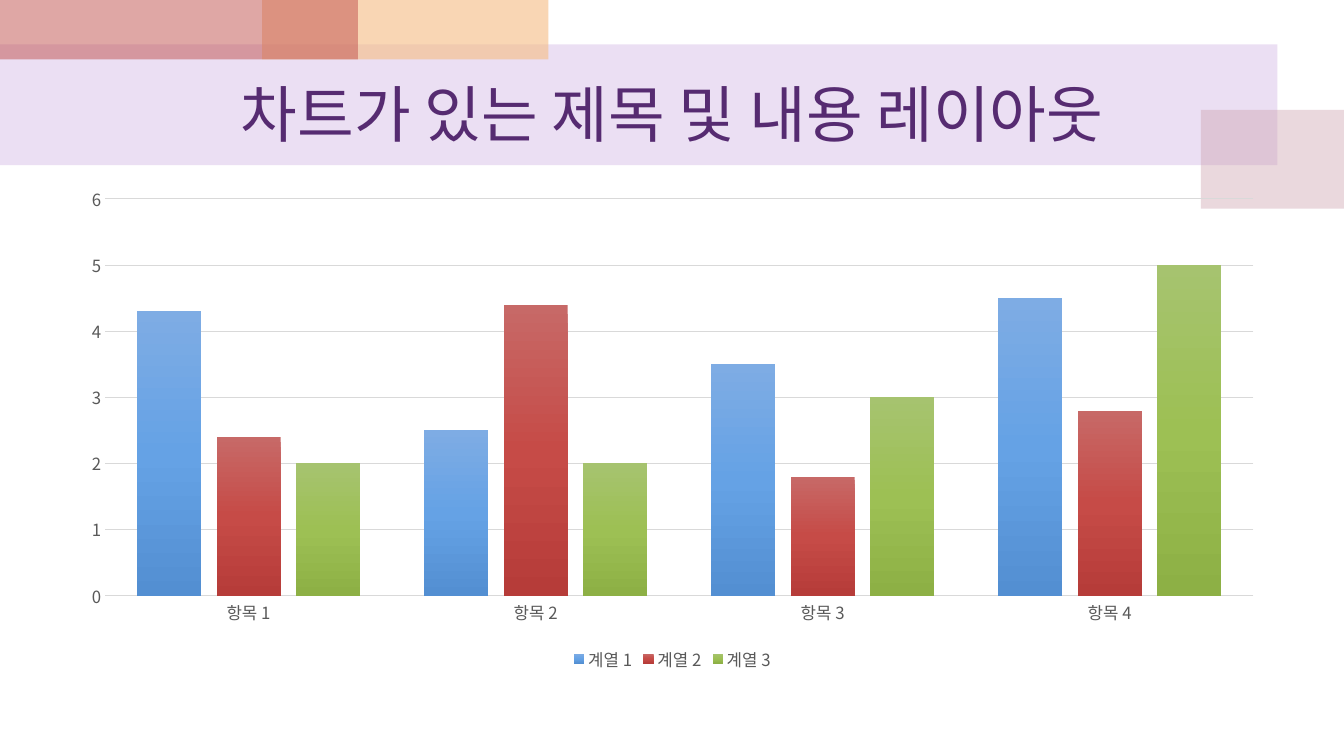
from dataclasses import dataclass

from lxml.etree import SubElement
from pptx import Presentation
from pptx.chart.axis import _BaseAxis
from pptx.chart.chart import Chart
from pptx.chart.data import CategoryChartData
from pptx.chart.series import BarSeries
from pptx.dml.color import RGBColor
from pptx.enum.chart import XL_CHART_TYPE, XL_LEGEND_POSITION, XL_TICK_MARK
from pptx.enum.shapes import MSO_SHAPE
from pptx.enum.text import MSO_ANCHOR, MSO_AUTO_SIZE, PP_ALIGN
from pptx.oxml.ns import qn
from pptx.slide import Slide
from pptx.text.text import Font
from pptx.util import Inches, Pt


@dataclass(frozen=True)
class Theme:
    """Fonts, type sizes and colours of the slide."""
    font: str = "Noto Sans CJK KR"
    title_size: int = 44
    label_size: int = 12
    title: str = "562B71"
    label: str = "595959"
    rule: str = "D9D9D9"
    band: str = "BF98D8"
    rose: str = "CC9EAC"
    peach: str = "F5BC83"
    red: str = "C0504D"


@dataclass(frozen=True)
class Block:
    """A translucent decorative rectangle."""
    left: float
    top: float
    width: float
    height: float
    color: str
    alpha: int


@dataclass(frozen=True)
class Series:
    """A chart series with its top, middle and bottom colours."""
    name: str
    values: tuple[float, ...]
    colors: tuple[str, str, str]


THEME = Theme()
BLOCKS = (
    Block(0, 0.44, 12.67, 1.2, THEME.band, 30),
    Block(11.91, 1.09, 1.43, 0.98, THEME.rose, 40),
    Block(2.6, 0, 2.84, 0.59, THEME.peach, 60),
    Block(0, 0, 3.55, 0.59, THEME.red, 50),
)
CATEGORIES = ("항목 1", "항목 2", "항목 3", "항목 4")
SERIES = (
    Series("계열 1", (4.3, 2.5, 3.5, 4.5), ("7EACE4", "65A2E5", "538FD2")),
    Series("계열 2", (2.4, 4.4, 1.8, 2.8), ("C76967", "C64B47", "B63C39")),
    Series("계열 3", (2, 2, 3, 5), ("A6C36F", "9DC054", "8DB045")),
)


def style_font(font: Font, size: int, color: str) -> None:
    """Set size, colour and both Latin and East Asian typefaces."""
    font.size = Pt(size)
    font.color.rgb = RGBColor.from_string(color)
    font.name = THEME.font
    SubElement(font._rPr, qn("a:ea"), typeface=THEME.font)


def add_block(s: Slide, block: Block) -> None:
    """Draw one translucent rectangle."""
    sp = s.shapes.add_shape(
        MSO_SHAPE.RECTANGLE, Inches(block.left), Inches(block.top),
        Inches(block.width), Inches(block.height))
    sp.shadow.inherit = False
    sp.line.fill.background()
    sp.fill.solid()
    sp.fill.fore_color.rgb = RGBColor.from_string(block.color)
    color = sp._element.spPr.find(qn("a:solidFill"))[0]
    SubElement(color, qn("a:alpha"), val=str(block.alpha * 1000))


def set_title(s: Slide, text: str) -> None:
    """Place the title in front of the blocks."""
    sp = s.shapes.title
    s.shapes._spTree.append(sp._element)
    sp.left, sp.top = Inches(0.67), Inches(0.59)
    sp.width, sp.height = Inches(12), Inches(1.05)
    tf = sp.text_frame
    tf.auto_size = MSO_AUTO_SIZE.NONE
    tf.word_wrap = True
    tf.vertical_anchor = MSO_ANCHOR.MIDDLE
    p = tf.paragraphs[0]
    p.alignment = PP_ALIGN.CENTER
    r = p.add_run()
    r.text = text
    style_font(r.font, THEME.title_size, THEME.title)


def fill_gradient(series: BarSeries, colors: tuple[str, ...]) -> None:
    """Fill a series with evenly spaced colours from top to bottom."""
    series.format.fill.gradient()
    grad = series._element.spPr.find(qn("a:gradFill"))
    for child in list(grad):
        grad.remove(child)
    stops = SubElement(grad, qn("a:gsLst"))
    for i, color in enumerate(colors):
        stop = SubElement(stops, qn("a:gs"), pos=str(i * 100000 // (len(colors) - 1)))
        SubElement(stop, qn("a:srgbClr"), val=color)
    SubElement(grad, qn("a:lin"), ang="5400000", scaled="0")


def style_axis(axis: _BaseAxis) -> None:
    """Format axis labels and remove tick marks."""
    axis.major_tick_mark = axis.minor_tick_mark = XL_TICK_MARK.NONE
    style_font(axis.tick_labels.font, THEME.label_size, THEME.label)


def add_column_chart(s: Slide) -> Chart:
    """Add the clustered column chart."""
    data = CategoryChartData()
    data.categories = CATEGORIES
    for series in SERIES:
        data.add_series(series.name, series.values)
    chart = s.shapes.add_chart(
        XL_CHART_TYPE.COLUMN_CLUSTERED, Inches(0.67), Inches(1.75),
        Inches(12), Inches(4.95), data).chart
    chart.has_title = False
    style_font(chart.font, THEME.label_size, THEME.label)

    plot = chart.plots[0]
    plot.gap_width, plot.overlap = 100, -24
    plot.vary_by_categories = False
    for bars, series in zip(plot.series, SERIES):
        bars.invert_if_negative = False
        fill_gradient(bars, series.colors)

    cat, val = chart.category_axis, chart.value_axis
    style_axis(cat)
    style_axis(val)
    val.minimum_scale, val.maximum_scale, val.major_unit = 0, 6, 1
    val.format.line.fill.background()
    val.has_major_gridlines = True
    for line, width in ((cat.format.line, 1), (val.major_gridlines.format.line, 0.75)):
        line.color.rgb = RGBColor.from_string(THEME.rule)
        line.width = Pt(width)

    chart.has_legend = True
    chart.legend.position = XL_LEGEND_POSITION.BOTTOM
    chart.legend.include_in_layout = False
    style_font(chart.legend.font, THEME.label_size, THEME.label)
    return chart


def main() -> None:
    """Build and save the slide."""
    prs = Presentation()
    prs.slide_width, prs.slide_height = Inches(13.33), Inches(7.5)
    s = prs.slides.add_slide(prs.slide_layouts.get_by_name("Title Only"))
    for block in BLOCKS:
        add_block(s, block)
    set_title(s, "차트가 있는 제목 및 내용 레이아웃")
    add_column_chart(s)
    prs.save("out.pptx")


if __name__ == "__main__":
    main()
